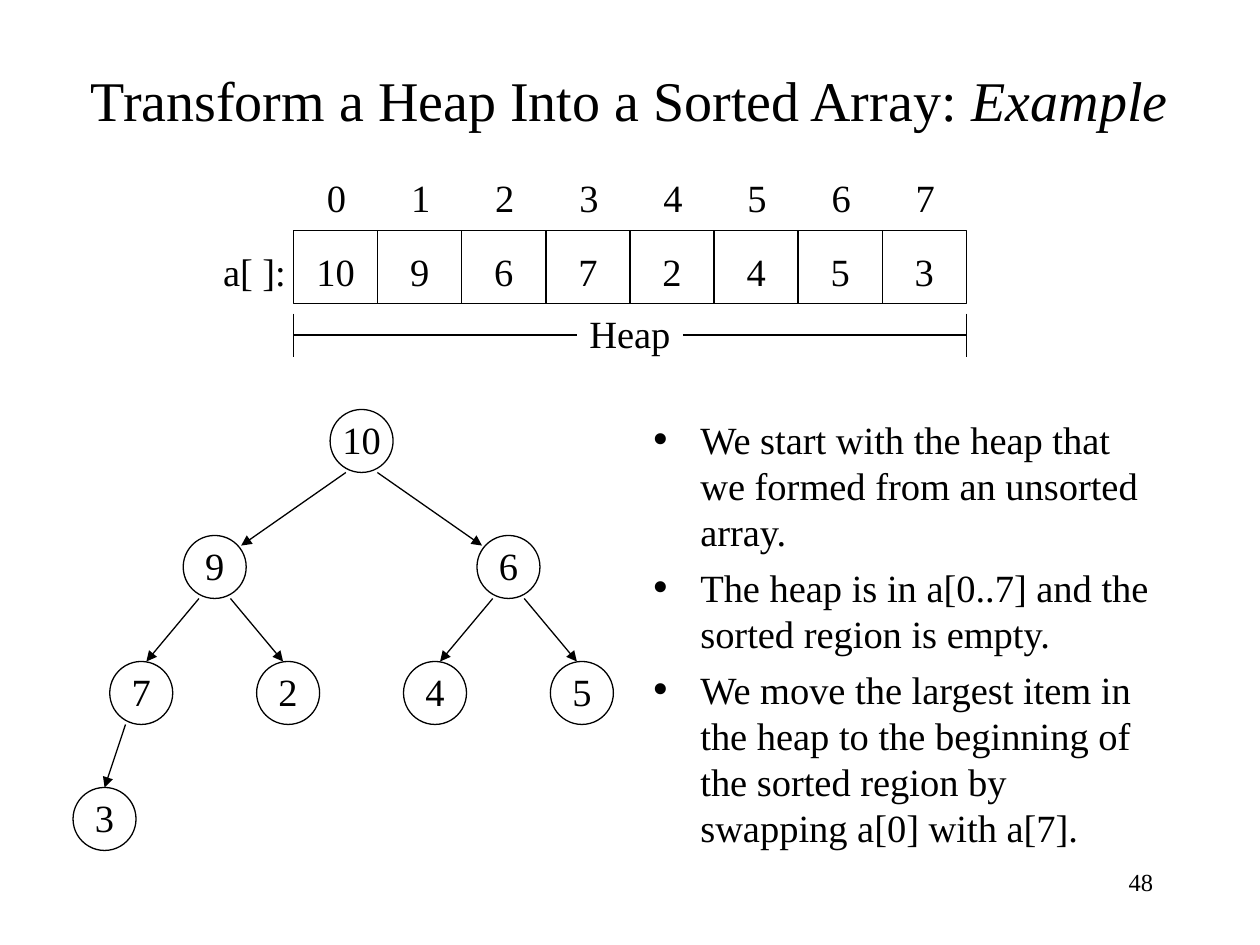
from lxml import etree
from pptx import Presentation
from pptx.dml.color import RGBColor
from pptx.enum import shapes, text
from pptx.oxml.ns import qn
from pptx.util import Inches, Pt

BLACK = RGBColor(0, 0, 0)
FONT = "Times New Roman"
LEFT, CENTER, RIGHT = text.PP_ALIGN.LEFT, text.PP_ALIGN.CENTER, text.PP_ALIGN.RIGHT
TOP, MIDDLE = text.MSO_ANCHOR.TOP, text.MSO_ANCHOR.MIDDLE

HEAP = [10, 9, 6, 7, 2, 4, 5, 3]
POINTS = [
    "We start with the heap that we formed from an unsorted array.",
    "The heap is in a[0..7] and the sorted region is empty.",
    "We move the largest item in the heap to the beginning of the sorted region "
    "by swapping a[0] with a[7].",
]


def add_run(p, words, size=22, italic=None):
    r = p.add_run()
    r.text = words
    r.font.name = FONT
    r.font.size = Pt(size)
    r.font.italic = italic
    r.font.color.rgb = BLACK


def add_box(slide, x, y, w, h, anchor=MIDDLE, wrap=True):
    sp = slide.shapes.add_textbox(Inches(x), Inches(y), Inches(w), Inches(h))
    tf = sp.text_frame
    tf.word_wrap = wrap
    tf.vertical_anchor = anchor
    return tf


def add_label(slide, words, x, y, w, h, anchor=MIDDLE, align=CENTER, size=22, wrap=False):
    p = add_box(slide, x, y, w, h, anchor, wrap).paragraphs[0]
    p.alignment = align
    add_run(p, words, size)


def add_outline(slide, kind, words, x, y, w, h, top=0, bottom=0):
    sp = slide.shapes.add_shape(kind, Inches(x), Inches(y), Inches(w), Inches(h))
    sp.shadow.inherit = False
    sp.fill.background()
    sp.line.color.rgb = BLACK
    sp.line.width = Pt(0.75)
    tf = sp.text_frame
    tf.word_wrap = False
    tf.vertical_anchor = MIDDLE
    tf.margin_left = tf.margin_right = 0
    tf.margin_top, tf.margin_bottom = Inches(top), Inches(bottom)
    p = tf.paragraphs[0]
    p.alignment = CENTER
    add_run(p, words)


def add_line(slide, x1, y1, x2, y2, arrow=False):
    line = slide.shapes.add_connector(
        shapes.MSO_CONNECTOR.STRAIGHT, Inches(x1), Inches(y1), Inches(x2), Inches(y2))
    line.line.color.rgb = BLACK
    line.line.width = Pt(0.75)
    if arrow:
        etree.SubElement(line.line._get_or_add_ln(), qn("a:tailEnd"), type="triangle")
    etree.SubElement(line._element.spPr, qn("a:effectLst"))


def add_title(slide, x, y, w, h):
    p = add_box(slide, x, y, w, h).paragraphs[0]
    p.alignment = CENTER
    add_run(p, "Transform a Heap Into a Sorted Array: ", 32)
    add_run(p, "Example", 32, True)


def add_array(slide, x, y, w, h):
    cell = w / len(HEAP)
    for i, value in enumerate(HEAP):
        left = x + i * cell
        add_label(slide, str(i), left + cell / 4, y - 0.5, cell / 2, 0.47, TOP)
        add_outline(slide, shapes.MSO_SHAPE.RECTANGLE, str(value), left, y, cell, h, top=0.07)
    add_label(slide, "a[ ]:", x - 0.66, y + 0.09, 0.7, 0.47)

    middle, bracket = x + w / 2, y + h + 0.25
    add_label(slide, "Heap", middle - 0.42, y + h, 0.84, 0.47)
    for end, inner in ((x, middle - 0.42), (x + w, middle + 0.42)):
        add_line(slide, end, bracket - 0.17, end, bracket + 0.17)
        add_line(slide, *((end, bracket, inner, bracket) if end < inner
                          else (inner, bracket, end, bracket)))


def add_tree(slide, x, y, w, h):
    size, level = 0.5, (h - 0.5) / 3
    shift = (w - size) / 3.5
    arrow_ends = {1: (0.21, 0.08), 2: (0.04, 0), 3: (0, 0)}
    centers = [(x + size / 2 + 1.75 * shift, y)]
    for i in range(1, len(HEAP)):
        depth = (i + 1).bit_length() - 1
        side = -1 if i % 2 else 1
        px, py = centers[(i - 1) // 2]
        cx, cy = px + side * shift / 2 ** (depth - 1), py + level
        centers.append((cx, cy))
        dx, dy = arrow_ends[depth]
        add_line(slide, px + side * size / 4, py + size, cx - side * dx, cy + dy, True)
    for value, (cx, cy) in zip(HEAP, centers):
        add_outline(slide, shapes.MSO_SHAPE.OVAL, str(value),
                    cx - size / 2, cy, size, size, bottom=0.03)


def add_points(slide, x, y, w, h):
    tf = add_box(slide, x, y, w, h, TOP)
    for i, words in enumerate(POINTS):
        p = tf.paragraphs[0] if i == 0 else tf.add_paragraph()
        p.alignment = LEFT
        p.space_before = Pt(5.5)
        pPr = p._p.get_or_add_pPr()
        pPr.set("marL", str(Inches(0.38)))
        pPr.set("indent", str(Inches(-0.38)))
        color = etree.SubElement(pPr, qn("a:buClr"))
        etree.SubElement(color, qn("a:srgbClr"), val=str(BLACK))
        etree.SubElement(pPr, qn("a:buSzPct"), val="120000")
        etree.SubElement(pPr, qn("a:buFont"), typeface=FONT)
        etree.SubElement(pPr, qn("a:buChar"), char="•")
        add_run(p, words)


def main():
    prs = Presentation()
    prs.slide_width, prs.slide_height = Inches(10), Inches(7.5)
    slide = prs.slides.add_slide(prs.slide_layouts[6])
    add_title(slide, 0.58, 0.5, 8.83, 0.58)
    add_points(slide, 5.08, 3.25, 4.25, 3.67)
    add_tree(slide, 0.58, 3.25, 4.58, 3.5)
    add_array(slide, 2.33, 1.83, 5.34, 0.58)
    add_label(slide, "48", 7.17, 6.83, 2.08, 0.5, TOP, RIGHT, 14, True)
    prs.save("out.pptx")


if __name__ == "__main__":
    main()
